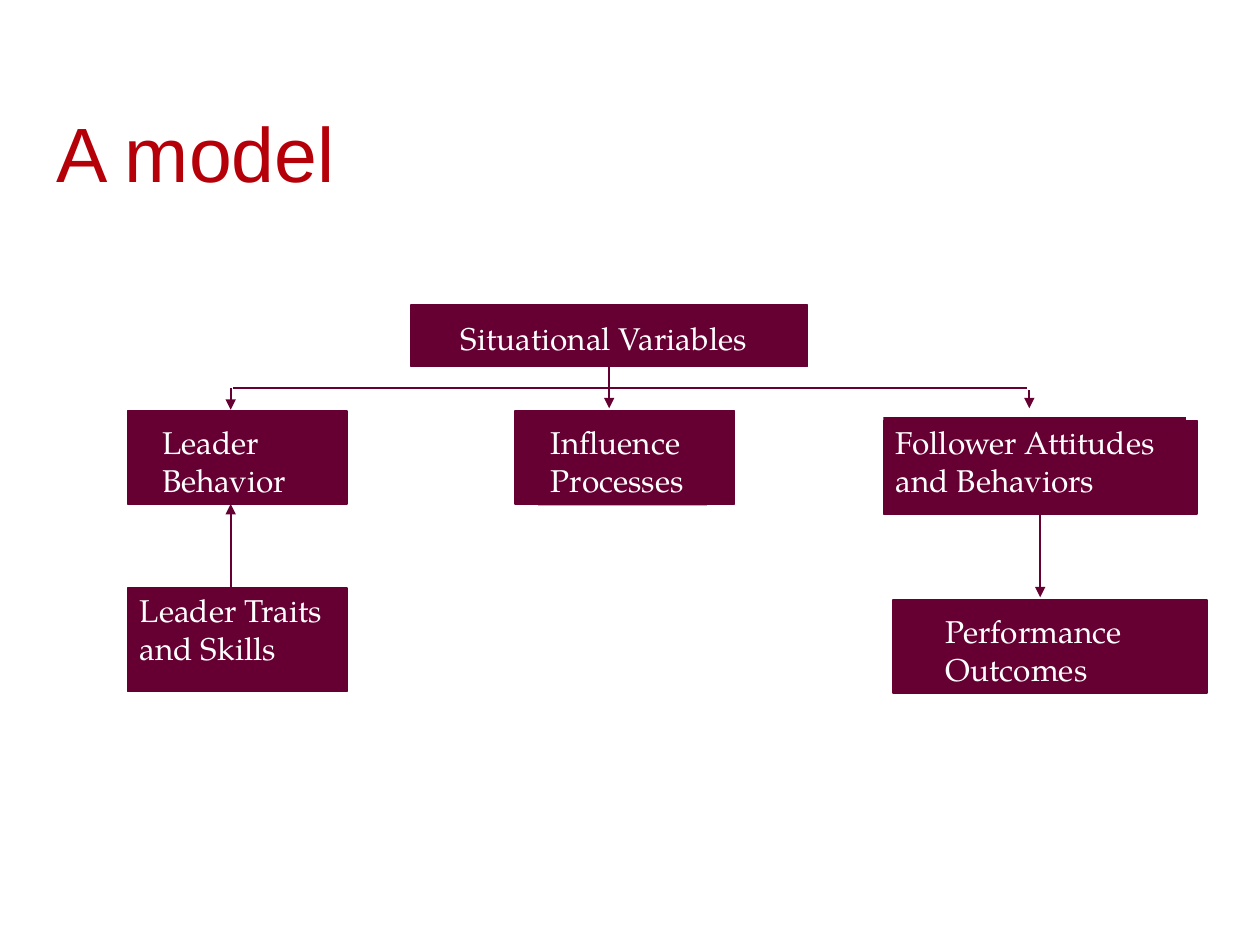
from dataclasses import dataclass

from lxml import etree
from pptx import Presentation
from pptx.dml.color import RGBColor
from pptx.enum.shapes import MSO_CONNECTOR, MSO_SHAPE
from pptx.enum.text import MSO_ANCHOR
from pptx.oxml.ns import qn
from pptx.util import Cm, Pt

RECT = MSO_SHAPE.RECTANGLE
STRAIGHT = MSO_CONNECTOR.STRAIGHT
TOP, MIDDLE = MSO_ANCHOR.TOP, MSO_ANCHOR.MIDDLE
BOTTOM_SIDE = 2


@dataclass(frozen=True)
class Theme:
    plum: RGBColor = RGBColor(0x66, 0x00, 0x33)
    red: RGBColor = RGBColor(0xB6, 0x00, 0x09)
    white: RGBColor = RGBColor(0xFF, 0xFF, 0xFF)
    title_size: Pt = Pt(44)
    label_size: Pt = Pt(18)
    line_width: Pt = Pt(1)


THEME = Theme()
TITLE_FONT = {"name": "Arial", "size": THEME.title_size}
LABEL_FONT = {"name": "TeX Gyre Pagella", "size": THEME.label_size}

prs = Presentation()
prs.slide_width, prs.slide_height = Cm(25.4), Cm(19.05)
s = prs.slides.add_slide(prs.slide_layouts[6])


def add_text(place, lines, font, color, wrap=False, anchor=TOP):
    sp = s.shapes.add_textbox(*map(Cm, place))
    tf = sp.text_frame
    tf.word_wrap, tf.vertical_anchor = wrap, anchor
    for i, line in enumerate(lines):
        p = tf.paragraphs[0] if i == 0 else tf.add_paragraph()
        r = p.add_run()
        r.text = line
        for key, value in font.items():
            setattr(r.font, key, value)
        r.font.color.rgb = color
    return sp


add_text((0.89, 2.01, 24, 2.11), ["A model"], TITLE_FONT, THEME.red, True, MIDDLE)

# name: (box, label place, label lines, whether the label has its own fill)
nodes = {
    "situation": ((8.28, 6.15, 8, 1.24), (9.04, 6.3, 6.81, 1.02),
                  ["Situational Variables"], False),
    "behavior": ((2.57, 8.28, 4.42, 1.88), (3.02, 8.41, 3.25, 1.78),
                 ["Leader", "Behavior"], False),
    "influence": ((10.39, 8.28, 4.42, 1.88), (10.85, 8.41, 3.4, 1.78),
                  ["Influence", "Processes"], True),
    "followers": ((17.81, 8.48, 6.32, 1.88), (17.81, 8.41, 6.1, 1.78),
                  ["Follower Attitudes", "and Behaviors"], True),
    "traits": ((2.57, 11.86, 4.42, 2.08), (2.57, 11.79, 4.55, 1.78),
               ["Leader Traits", "and Skills"], False),
    "outcomes": ((18.01, 12.09, 6.32, 1.88), (18.82, 12.22, 4.45, 1.78),
                 ["Performance", "Outcomes"], False),
}
boxes = {}
for name, (place, label_place, lines, filled) in nodes.items():
    sp = s.shapes.add_shape(RECT, *map(Cm, place))
    sp.shadow.inherit = False
    sp.fill.solid()
    sp.fill.fore_color.rgb = THEME.plum
    sp.line.color.rgb = THEME.plum
    sp.line.width = THEME.line_width
    boxes[name] = sp
    label = add_text(label_place, lines, LABEL_FONT, THEME.white)
    if filled:
        label.fill.solid()
        label.fill.fore_color.rgb = THEME.plum

# start x, start y, end x, end y, arrowhead, box whose bottom it leaves
links = [
    (12.28, 7.39, 12.28, 8.23, True, "situation"),
    (4.65, 7.82, 4.65, 8.26, True, None),
    (4.7, 7.82, 20.7, 7.82, False, None),
    (20.75, 7.87, 20.75, 8.23, True, None),
    (4.65, 11.84, 4.65, 10.16, True, None),
    (20.97, 10.36, 20.97, 12.04, True, "followers"),
]
for *ends, arrow, source in links:
    line = s.shapes.add_connector(STRAIGHT, *map(Cm, ends))
    if source:
        line.begin_connect(boxes[source], BOTTOM_SIDE)
    line.line.color.rgb = THEME.plum
    line.line.width = THEME.line_width
    if arrow:
        etree.SubElement(line.line._get_or_add_ln(), qn("a:tailEnd"), type="triangle")
    etree.SubElement(line._element.spPr, qn("a:effectLst"))

prs.save("out.pptx")
